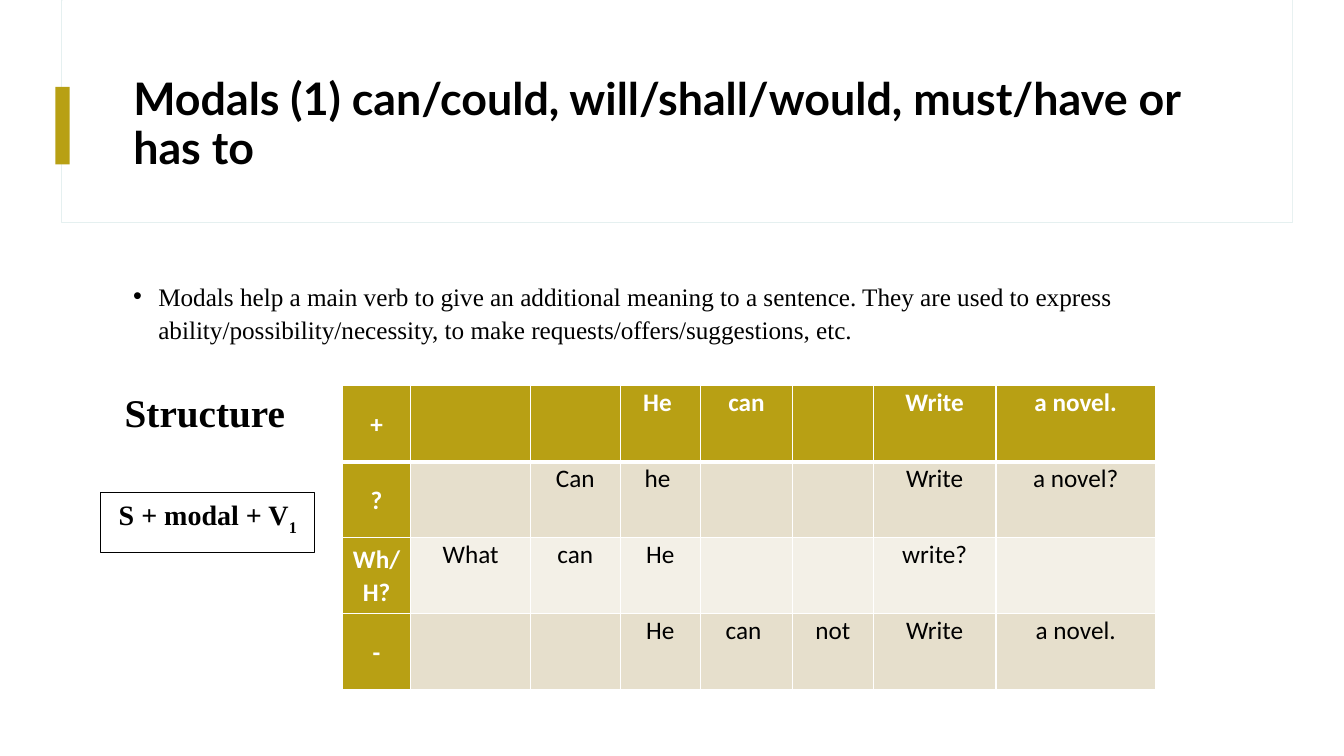
from lxml.etree import SubElement as Sub
from pptx import Presentation
from pptx.dml.color import RGBColor as Rgb
from pptx.enum.shapes import MSO_SHAPE as Kind
from pptx.enum.text import MSO_ANCHOR as Anchor, MSO_AUTO_SIZE as Auto, PP_ALIGN as Align
from pptx.oxml.ns import qn
from pptx.util import Pt

HUES = {"white": "FFFFFF", "black": "000000", "gold": "B8A014", "edge": "E5F0F0",
        "shade": "D9D9D9", "sand": "E6DFCC", "cream": "F3F0E7"}
SERIF, SANS, HEAD = "Times New Roman", "Calibri", "Lato"


def hue(name):
    return Rgb.from_string(HUES[name])


def paint(node, name):
    """Add a solid fill to an XML node and return its colour node."""
    fill = Sub(node, qn("a:solidFill"))
    return Sub(fill, qn("a:srgbClr"), val=HUES[name])


def write(frame, text, font=SERIF, size=18, color="black", bold=False, align=Align.LEFT,
          anchor=Anchor.TOP, lead=1.0, before=0, after=0, sub=""):
    """Put one formatted paragraph in a frame, with an optional subscript."""
    frame.word_wrap = True
    frame.vertical_anchor = anchor
    para = frame.paragraphs[0]
    para.alignment, para.line_spacing = align, lead
    para.space_before, para.space_after = Pt(before), Pt(after)
    for part in filter(None, (text, sub)):
        run = para.add_run()
        run.text = part
        run.font.name, run.font.size, run.font.bold = font, Pt(size), bold
        run.font.color.rgb = hue(color)
    if sub:
        run.font._element.set("baseline", "-30000")
    return para


class Deck:
    def __init__(self):
        self.file = Presentation()
        self.file.slide_width, self.file.slide_height = Pt(960), Pt(540)
        self.slide = self.file.slides.add_slide(self.file.slide_layouts[5])
        self.items = self.slide.shapes

    def title(self, box, text, **form):
        head = self.items.title
        head.left, head.top, head.width, head.height = map(Pt, box)
        head.text_frame.auto_size = Auto.NONE
        write(head.text_frame, text, **form)
        # Bring the title in front of the panel
        self.items._spTree.append(head._element)

    def rect(self, box, fill, line=None):
        item = self.items.add_shape(Kind.RECTANGLE, *map(Pt, box))
        item.shadow.inherit = False
        item.fill.solid()
        item.fill.fore_color.rgb = hue(fill)
        if line:
            item.line.color.rgb = hue(line)
            item.line.width = Pt(0.75)
        else:
            item.line.fill.background()
        return item

    def shade(self, item):
        list_ = item._element.spPr.find(qn("a:effectLst"))
        glow = Sub(list_, qn("a:outerShdw"), blurRad=str(Pt(4)), dist=str(Pt(3)),
                   dir=str(45 * 60000), algn="tl", rotWithShape="0")
        Sub(paint(glow, "shade"), qn("a:alpha"), val="30000")

    def text(self, box, text, dot=False, **form):
        frame = self.items.add_textbox(*map(Pt, box)).text_frame
        para = write(frame, text, **form)
        if dot:
            props = para._p.get_or_add_pPr()
            props.set("marL", str(Pt(18)))
            props.set("indent", str(Pt(-18)))
            Sub(props, qn("a:buFont"), typeface="Arial")
            Sub(props, qn("a:buChar"), char="•")

    def table(self, left, top, wides, high, rows):
        grid = self.items.add_table(len(rows), len(wides), Pt(left), Pt(top),
                                    Pt(sum(wides)), Pt(high * len(rows))).table
        for col, wide in zip(grid.columns, wides):
            col.width = Pt(wide)
        for r, row in enumerate(rows):
            grid.rows[r].height = Pt(high)
            for c, text in enumerate(row):
                self.cell(grid.cell(r, c), r, c, text)

    def cell(self, cell, r, c, text):
        key = r == 0 or c == 0
        cell.margin_left = cell.margin_right = Pt(5)
        cell.margin_top = cell.margin_bottom = 0
        write(cell.text_frame, text, font=SANS, color="white" if key else "black", bold=key,
              align=Align.CENTER, lead=1.07, after=8)
        cell.vertical_anchor = Anchor.TOP if c else Anchor.MIDDLE
        # White rules, heavier under the header row
        for side in "LRTB":
            thick = 3 if (r, side) in ((0, "B"), (1, "T")) else 1
            rule = Sub(cell._tc.get_or_add_tcPr(), qn("a:ln" + side), w=str(Pt(thick)))
            paint(rule, "white")
        cell.fill.solid()
        cell.fill.fore_color.rgb = hue("gold" if key else "sand" if r % 2 else "cream")


deck = Deck()

# Title panel with its accent bar
deck.shade(deck.rect((44, 0, 879, 159), "white", "edge"))
deck.rect((44.6, 0, 878.4, 158.4), "white")
deck.rect((39.5, 62, 10.3, 55.5), "gold")
deck.title((88, 43, 800, 93), "Modals (1) can/could, will/shall/would, must/have or has to",
           font=HEAD, size=32, bold=True, anchor=Anchor.MIDDLE, lead=0.9)

# Explanation
deck.text((88, 195, 800, 60), "Modals help a main verb to give an additional meaning to a "
          "sentence. They are used to express ability/possibility/necessity, to make "
          "requests/offers/suggestions, etc.", dot=True, lead=1.1, before=10)

# Sentence patterns
deck.table(244.5, 275.5, (49, 85.5, 64, 57.5, 65.5, 58, 87.5, 114), 54.3, (
    ("+", "", "", "He ", "can", "", "Write", "a novel."),
    ("?", "", "Can", "he ", "", "", "Write", "a novel?"),
    ("Wh/H?", "What", "can", "He", "", "", "write?", ""),
    ("-", "", "", "He", "can ", "not", "Write", "a novel."),
))

# Structure formula
deck.text((82, 274, 142, 42), "Structure", size=28, bold=True)
form = deck.rect((72, 351.5, 153, 43), "white", "black")
write(form.text_frame, "S + modal + V", sub="1", size=20, bold=True, align=Align.CENTER)

deck.file.save("out.pptx")
